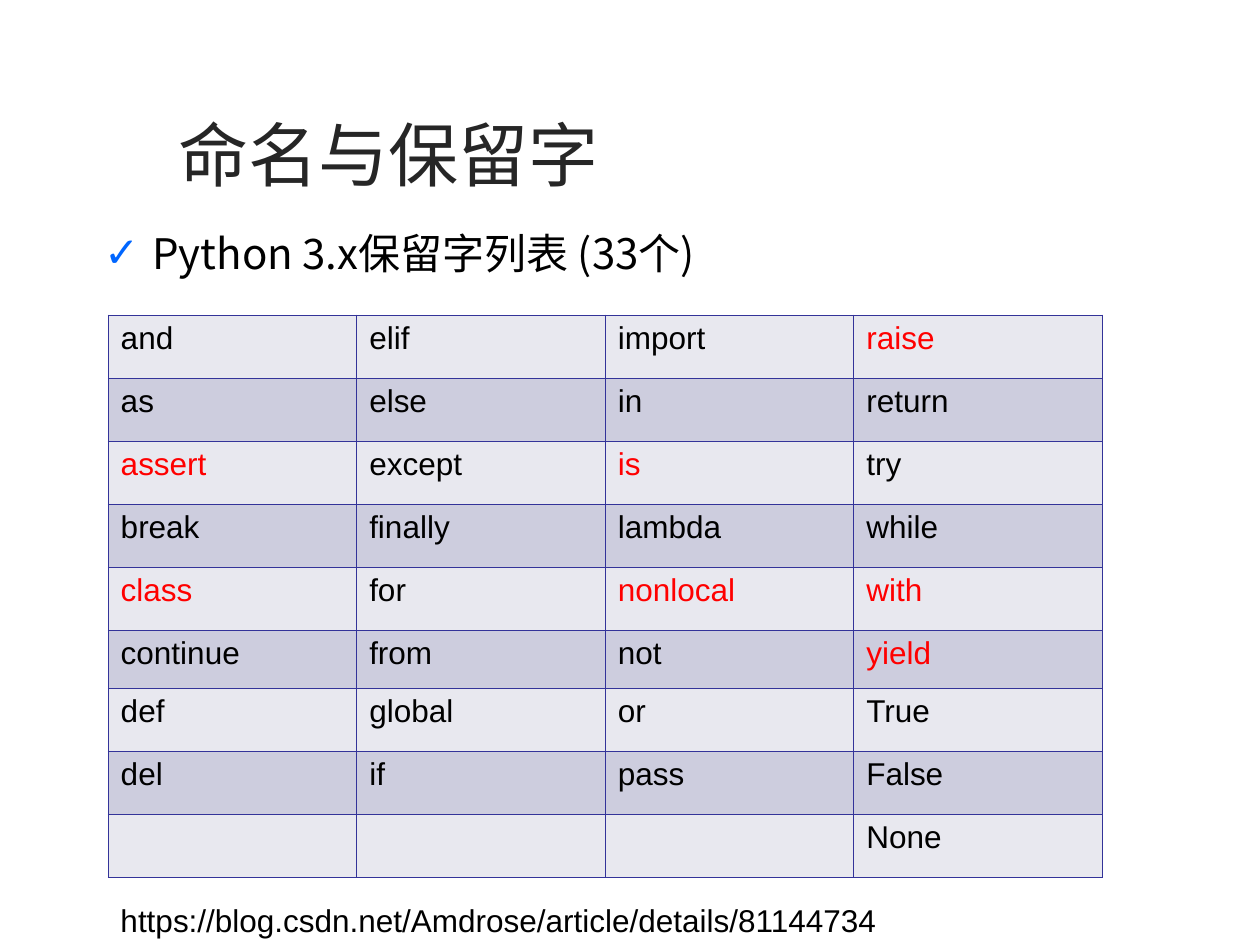
from lxml import etree
from pptx import Presentation
from pptx import util as u
from pptx.dml.color import RGBColor
from pptx.enum import text
from pptx.oxml import parse_xml
from pptx.oxml.ns import nsdecls, qn

Cm = u.Cm
CJK, LATIN = "Noto Sans CJK SC", "Arial"
BLACK, RED, BORDER = "000000", "FF0000", "333399"
BANDS = ("E8E8EF", "CDCDDE")

KEYWORDS = [
    "and elif import raise",
    "as else in return",
    "assert except is try",
    "break finally lambda while",
    "class for nonlocal with",
    "continue from not yield",
    "def global or True",
    "del if pass False",
]
ROWS = [line.split() for line in KEYWORDS] + [["", "", "", "None"]]
HIGHLIGHTED = {"raise", "assert", "is", "class", "nonlocal", "with", "yield"}


def rgb(value):
    return RGBColor.from_string(value)


def xml(markup):
    """Parse one element whose tag ends at the first space or bracket."""
    tag_end = min(i for i in (markup.find(" "), markup.find(">"), markup.find("/>")) if i > 0)
    return parse_xml(f"{markup[:tag_end]} {nsdecls('a')}{markup[tag_end:]}")


def write(p, content, size=18, font=LATIN, color=BLACK, shadow=False):
    """Add a formatted run to a paragraph."""
    r = p.add_run()
    r.text = content
    r.font.size, r.font.name = u.Pt(size), font
    r.font.color.rgb = rgb(color)
    rPr = r._r.get_or_add_rPr()
    etree.SubElement(rPr, qn("a:ea")).set("typeface", font)
    if shadow:
        rPr.find(qn("a:solidFill")).addnext(xml(
            '<a:effectLst><a:outerShdw blurRad="38100" dist="38100" dir="2700000">'
            '<a:srgbClr val="C0C0C0"/></a:outerShdw></a:effectLst>'))
    return r


def set_frame(tf, wrap=True):
    tf.word_wrap = wrap
    tf.auto_size = text.MSO_AUTO_SIZE.NONE
    tf.vertical_anchor = text.MSO_ANCHOR.TOP
    return tf.paragraphs[0]


def add_title(slide, left, top, width, height):
    sp = slide.shapes.title
    sp.left, sp.top, sp.width, sp.height = left, top, width, height
    p = set_frame(sp.text_frame, wrap=False)
    p.alignment = text.PP_ALIGN.LEFT
    write(p, "命名与保留字", size=40, font=CJK, color="262626", shadow=True)


def add_heading(slide, left, top, width, height):
    p = set_frame(slide.shapes.add_textbox(left, top, width, height).text_frame)
    p.level = 1
    p.alignment = text.PP_ALIGN.JUSTIFY
    p.line_spacing = 1.5
    # Check-mark bullet with a hanging indent
    pPr = p._p.get_or_add_pPr()
    pPr.set("marL", str(Cm(2.24)))
    pPr.set("indent", str(Cm(-0.97)))
    pPr.append(xml('<a:buClr><a:srgbClr val="0066FF"/></a:buClr>'))
    pPr.append(xml('<a:buFont typeface="Arial"/>'))
    pPr.append(xml('<a:buChar char="✓"/>'))
    write(p, "Python 3.x保留字列表 (33个)", size=24, font=CJK)


def format_cell(cell, fill):
    tcPr = cell._tc.get_or_add_tcPr()
    for side in "LRTB":
        tcPr.append(xml(f'<a:ln{side} w="{u.Pt(0.45)}"><a:solidFill>'
                        f'<a:srgbClr val="{BORDER}"/></a:solidFill></a:ln{side}>'))
    cell.fill.solid()
    cell.fill.fore_color.rgb = rgb(fill)


def add_keyword_table(slide, left, top, width, row_height):
    n_rows, n_cols = len(ROWS), len(ROWS[0])
    table = slide.shapes.add_table(
        n_rows, n_cols, left, top, width, row_height * n_rows).table
    table.first_row = table.horz_banding = False
    for row in table.rows:
        row.height = row_height
    table.rows[5].height = Cm(1.17)  # the one shorter row
    for i, words in enumerate(ROWS):
        for j, word in enumerate(words):
            cell = table.cell(i, j)
            format_cell(cell, BANDS[i % 2])
            if word:
                write(cell.text_frame.paragraphs[0], word,
                      color=RED if word in HIGHLIGHTED else BLACK)


def add_source(slide, left, top, width, height):
    p = set_frame(slide.shapes.add_textbox(left, top, width, height).text_frame)
    write(p, "https://blog.csdn.net/Amdrose/article/details/81144734")


def main():
    prs = Presentation()
    prs.slide_width, prs.slide_height = Cm(25.4), Cm(19.05)
    slide = prs.slides.add_slide(prs.slide_layouts[5])
    margin = Cm(2.18)
    add_title(slide, Cm(3.35), Cm(2.13), Cm(8.97), Cm(3.66))
    add_heading(slide, Cm(0.58), Cm(3.96), Cm(22.4), Cm(1.78))
    add_keyword_table(slide, margin, Cm(6.35), Cm(20.04), Cm(1.27))
    add_source(slide, margin, Cm(18.03), Cm(15.88), Cm(1.02))
    prs.save("out.pptx")


if __name__ == "__main__":
    main()
